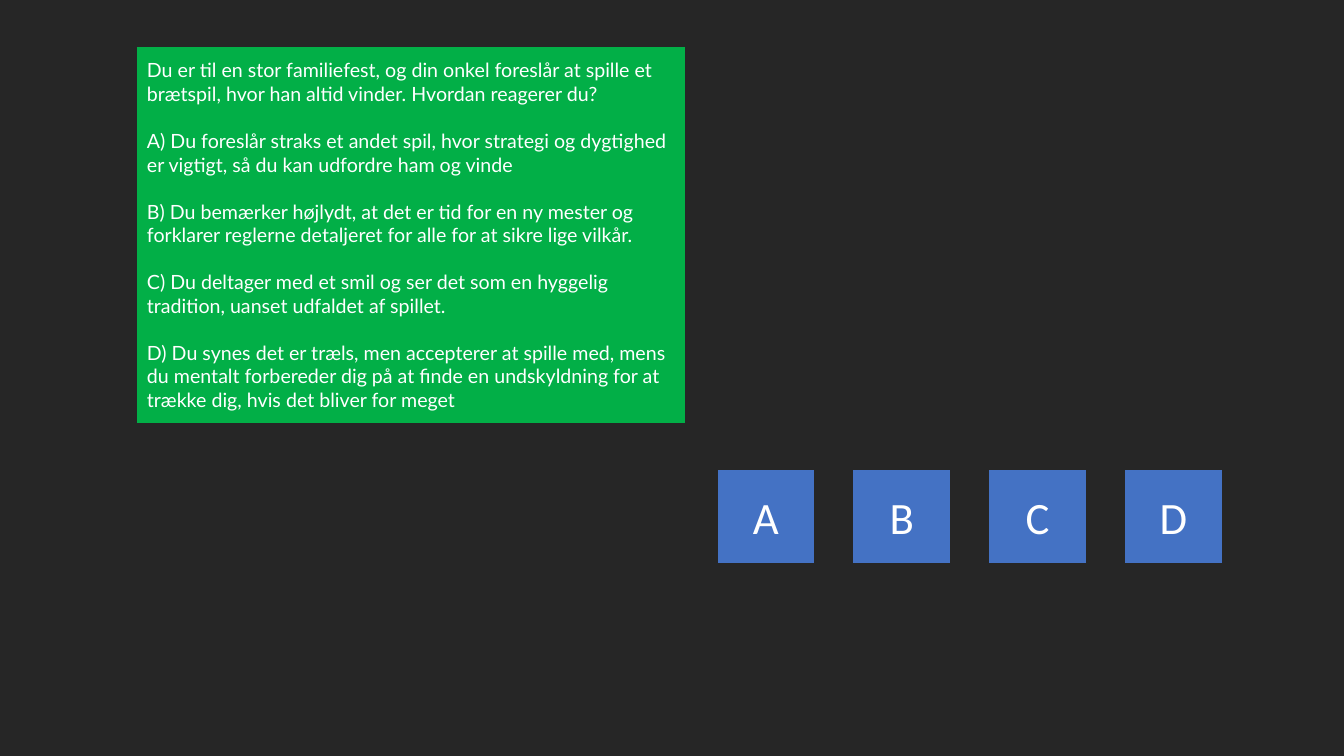
"""Build a quiz slide with a question, four answers and four answer buttons."""
from pptx import Presentation
from pptx.dml.color import RGBColor
from pptx.enum.shapes import MSO_SHAPE
from pptx.enum.text import MSO_ANCHOR, PP_ALIGN
from pptx.util import Pt

PROCESS = MSO_SHAPE.FLOWCHART_PROCESS
MIDDLE = MSO_ANCHOR.MIDDLE
LEFT, CENTER = PP_ALIGN.LEFT, PP_ALIGN.CENTER

COLORS = {
    "background": "262626",
    "question": "02AF47",
    "button": "4472C4",
    "text": "FFFFFF",
}
QUESTION = [
    "Du er til en stor familiefest, og din onkel foreslår at spille et brætspil, hvor han altid vinder. Hvordan reagerer du?",
    "A) Du foreslår straks et andet spil, hvor strategi og dygtighed er vigtigt, så du kan udfordre ham og vinde",
    "B) Du bemærker højlydt, at det er tid for en ny mester og forklarer reglerne detaljeret for alle for at sikre lige vilkår.",
    "C) Du deltager med et smil og ser det som en hyggelig tradition, uanset udfaldet af spillet.",
    "D) Du synes det er træls, men accepterer at spille med, mens du mentalt forbereder dig på at finde en undskyldning for at trække dig, hvis det bliver for meget",
]
BUTTON_LEFT, BUTTON_STEP = 512.64, 97

deck = Presentation()
deck.slide_width, deck.slide_height = Pt(960), Pt(540)
slide = deck.slides.add_slide(deck.slide_layouts[6])
slide.background.fill.solid()
slide.background.fill.fore_color.rgb = RGBColor.from_string(COLORS["background"])


def add_panel(paragraphs, *, left, top, width, height, fill, font, size, align=LEFT, gap=0):
    panel = slide.shapes.add_shape(PROCESS, Pt(left), Pt(top), Pt(width), Pt(height))
    panel.shadow.inherit = False
    panel.fill.solid()
    panel.fill.fore_color.rgb = RGBColor.from_string(COLORS[fill])
    panel.line.fill.background()
    frame = panel.text_frame
    frame.word_wrap = True
    frame.vertical_anchor = MIDDLE
    for index, text in enumerate(paragraphs):
        paragraph = frame.add_paragraph() if index else frame.paragraphs[0]
        paragraph.alignment = align
        paragraph.space_before = Pt(gap if index else 0)
        run = paragraph.add_run()
        run.text = text
        run.font.name = font
        run.font.size = Pt(size)
        run.font.color.rgb = RGBColor.from_string(COLORS["text"])


add_panel(QUESTION, left=97.92, top=33.5, width=391.68, height=268.5,
          fill="question", font="Lato", size=14, gap=16.8)

for position, letter in enumerate("ABCD"):
    add_panel([letter], left=BUTTON_LEFT + position * BUTTON_STEP, top=335.5,
              width=69, height=67, fill="button", font="Calibri", size=32, align=CENTER)

deck.save("out.pptx")
